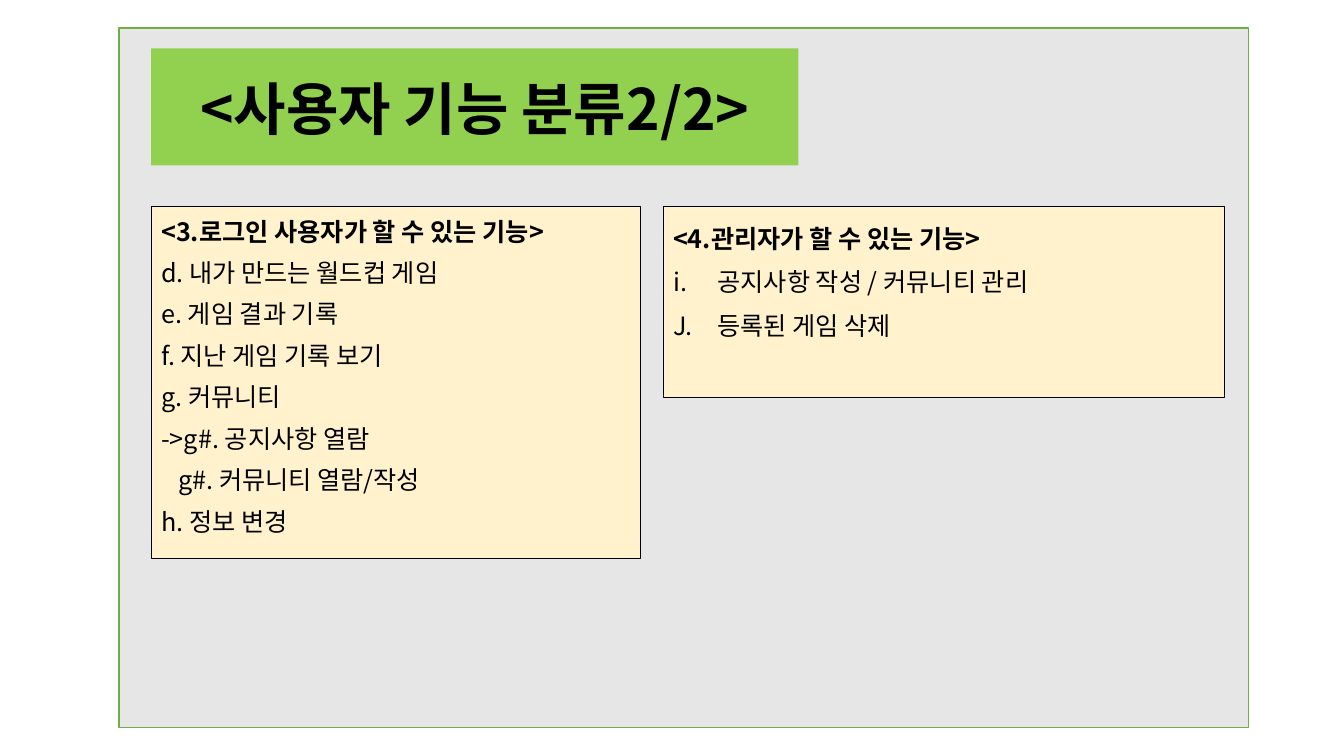
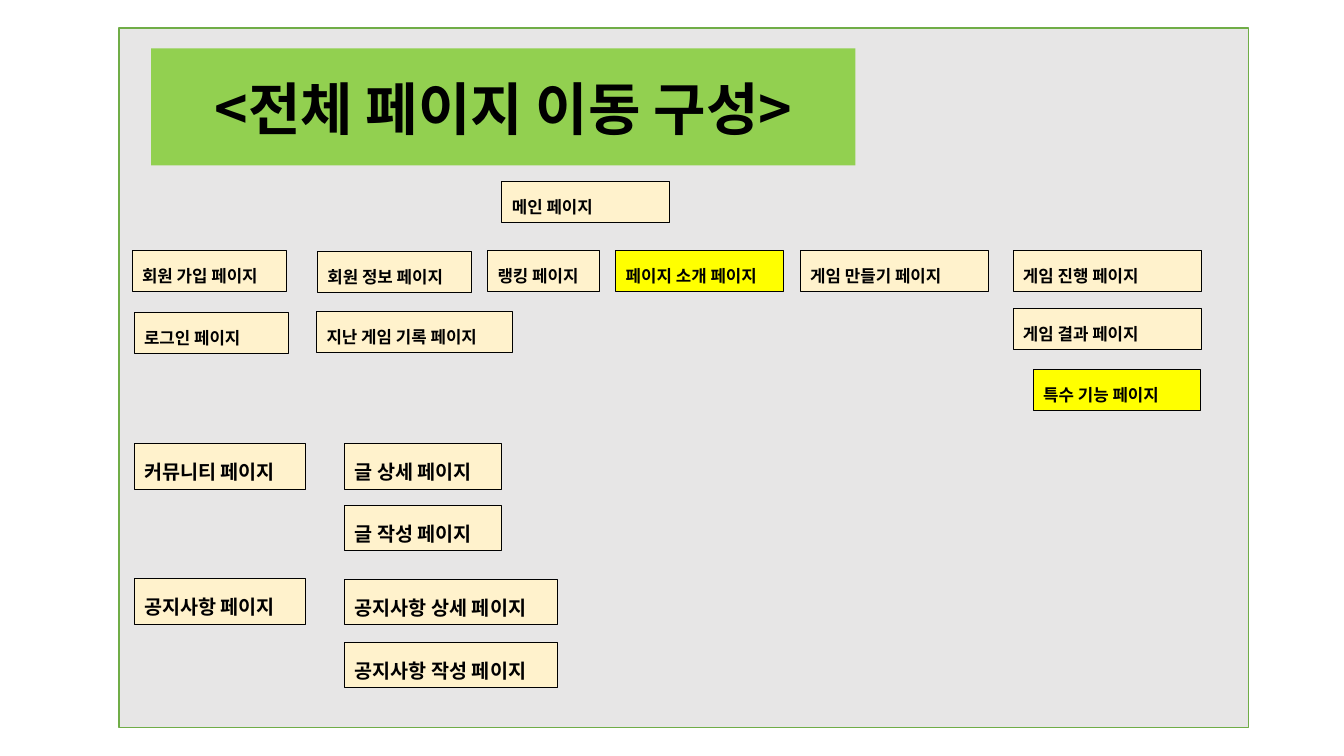
import dataclasses

import lxml.etree
import pptx
import pptx.dml.color
import pptx.enum.shapes
import pptx.enum.text
import pptx.oxml.ns
import pptx.util

Cm = pptx.util.Cm
Pt = pptx.util.Pt
qn = pptx.oxml.ns.qn
RECTANGLE = pptx.enum.shapes.MSO_SHAPE.RECTANGLE
ANCHOR = pptx.enum.text.MSO_ANCHOR
ALIGN = pptx.enum.text.PP_ALIGN


@dataclasses.dataclass(frozen=True)
class Theme:
    font: str = "Noto Sans CJK KR"
    ink: str = "000000"
    panel: str = "E7E6E6"
    panel_line: str = "70AD47"
    band: str = "92D050"
    cream: str = "FFF2CC"
    highlight: str = "FFFF00"
    title_size: float = 40.7
    list_size: float = 18
    large_size: float = 14
    small_size: float = 12


theme = Theme()


def style_box(box, at, fill, line=None, weight=0.75):
    """Place a box and give it its fill, outline and text frame."""
    box.left, box.top, box.width, box.height = [Cm(length) for length in at]
    box.fill.solid()
    box.fill.fore_color.rgb = pptx.dml.color.RGBColor.from_string(fill)
    if line:
        box.line.color.rgb = pptx.dml.color.RGBColor.from_string(line)
        box.line.width = Pt(weight)
    else:
        box.line.fill.background()
    frame = box.text_frame
    frame.word_wrap = True
    frame.auto_size = pptx.enum.text.MSO_AUTO_SIZE.NONE
    frame.vertical_anchor = ANCHOR.TOP
    return frame


def write(para, text, size, leading, bold=True, align=ALIGN.LEFT, after=0):
    """Add one run and set the spacing of its paragraph."""
    para.alignment = align
    para.line_spacing = Pt(leading)
    para.space_before = Pt(0)
    para.space_after = Pt(after)
    span = para.add_run()
    span.text = text
    span.font.name = theme.font
    span.font.size = Pt(size)
    span.font.bold = bold
    span.font.color.rgb = pptx.dml.color.RGBColor.from_string(theme.ink)
    east_asian = lxml.etree.SubElement(span.font.fill._xPr, qn("a:ea"))
    east_asian.set("typeface", theme.font)


deck = pptx.Presentation()
deck.slide_width, deck.slide_height = Cm(33.87), Cm(19.05)
features_page = deck.slides.add_slide(deck.slide_layouts.get_by_name("Two Content"))
sitemap_page = deck.slides.add_slide(deck.slide_layouts.get_by_name("Title Only"))

# Grey panel, held by the slide master
panel = features_page.shapes.add_shape(RECTANGLE, 0, 0, 0, 0)
panel.shadow.inherit = False
style_box(panel, (3, 0.71, 28.47, 17.63), theme.panel, theme.panel_line, 1)
panel.element.nvSpPr.cNvPr.set("id", "99")
deck.slide_master.shapes.element.insert(2, panel.element)

# Title bands
for page, title, width in (
    (features_page, "<사용자 기능 분류2/2>", 16.31),
    (sitemap_page, "<전체 페이지 이동 구성>", 17.75),
):
    frame = style_box(page.shapes.title, (3.81, 1.22, width, 2.95), theme.band)
    frame.vertical_anchor = ANCHOR.MIDDLE
    write(frame.paragraphs[0], title, theme.title_size, 50, align=ALIGN.CENTER)

# Feature lists: (text, left margin, first-line indent, numbering, start)
user_features = [
    ("<3.로그인 사용자가 할 수 있는 기능>", 0, 0, None, 0),
    ("d. 내가 만드는 월드컵 게임", 0, 0, None, 0),
    ("e. 게임 결과 기록", 0, 0, None, 0),
    ("f. 지난 게임 기록 보기", 0, 0, None, 0),
    ("g. 커뮤니티", 0, 0, None, 0),
    ("->g#. 공지사항 열람", 0, 0, None, 0),
    ("g#. 커뮤니티 열람/작성", 0.43, 0, None, 0),
    ("h. 정보 변경", 0, 0, None, 0),
]
admin_features = [
    ("<4.관리자가 할 수 있는 기능>", 0, 0, None, 0),
    ("공지사항 작성 / 커뮤니티 관리", 1.12, -1.12, "alphaLcPeriod", 9),
    ("등록된 게임 삭제", 1.12, -1.12, "alphaUcPeriod", 10),
]
for index, at, inset, leading, features in (
    (1, (3.81, 5.21, 12.32, 8.86), 0.23, 21.6, user_features),
    (2, (16.71, 5.21, 14.15, 4.8), 0.36, 23.1, admin_features),
):
    frame = style_box(features_page.placeholders[index], at, theme.cream, theme.ink)
    frame.margin_top = Cm(inset)
    for row, (text, margin, indent, numbering, start) in enumerate(features):
        para = frame.add_paragraph() if row else frame.paragraphs[0]
        write(para, text, theme.list_size, leading, bold=row == 0, after=8)
        properties = para._p.get_or_add_pPr()
        properties.set("marL", str(Cm(margin)))
        properties.set("indent", str(Cm(indent)))
        if numbering:
            bullet = lxml.etree.SubElement(properties, qn("a:buAutoNum"))
            bullet.set("type", numbering)
            bullet.set("startAt", str(start))
        else:
            lxml.etree.SubElement(properties, qn("a:buNone"))

# Site map: (name, left, top, width, fill) for each type size
small_boxes = [
    ("메인 페이지", 12.65, 4.57, 4.22, theme.cream),
    ("회원 가입 페이지", 3.33, 6.32, 3.89, theme.cream),
    ("회원 정보 페이지", 8, 6.35, 3.89, theme.cream),
    ("랭킹 페이지", 12.29, 6.32, 2.82, theme.cream),
    ("페이지 소개 페이지", 15.52, 6.32, 4.22, theme.highlight),
    ("게임 만들기 페이지", 20.17, 6.32, 4.75, theme.cream),
    ("게임 진행 페이지", 25.53, 6.32, 4.75, theme.cream),
    ("로그인 페이지", 3.38, 7.87, 3.89, theme.cream),
    ("지난 게임 기록 페이지", 7.98, 7.85, 4.93, theme.cream),
    ("게임 결과 페이지", 25.53, 7.77, 4.75, theme.cream),
    ("특수 기능 페이지", 26.04, 9.32, 4.22, theme.highlight),
]
large_boxes = [
    ("커뮤니티 페이지", 3.38, 11.18, 4.32, theme.cream),
    ("글 상세 페이지", 8.69, 11.18, 3.96, theme.cream),
    ("글 작성 페이지", 8.69, 12.73, 3.96, theme.cream),
    ("공지사항 페이지", 3.38, 14.58, 4.32, theme.cream),
    ("공지사항 상세 페이지", 8.69, 14.6, 5.36, theme.cream),
    ("공지사항 작성 페이지", 8.69, 16.18, 5.36, theme.cream),
]
for size, height, boxes in (
    (theme.small_size, 1.03, small_boxes),
    (theme.large_size, 1.15, large_boxes),
):
    for name, left, top, width, fill in boxes:
        box = sitemap_page.shapes.add_shape(RECTANGLE, 0, 0, 0, 0)
        box.shadow.inherit = False
        frame = style_box(box, (left, top, width, height), fill, theme.ink)
        write(frame.paragraphs[0], name, size, size * 1.8)

deck.save("out.pptx")
